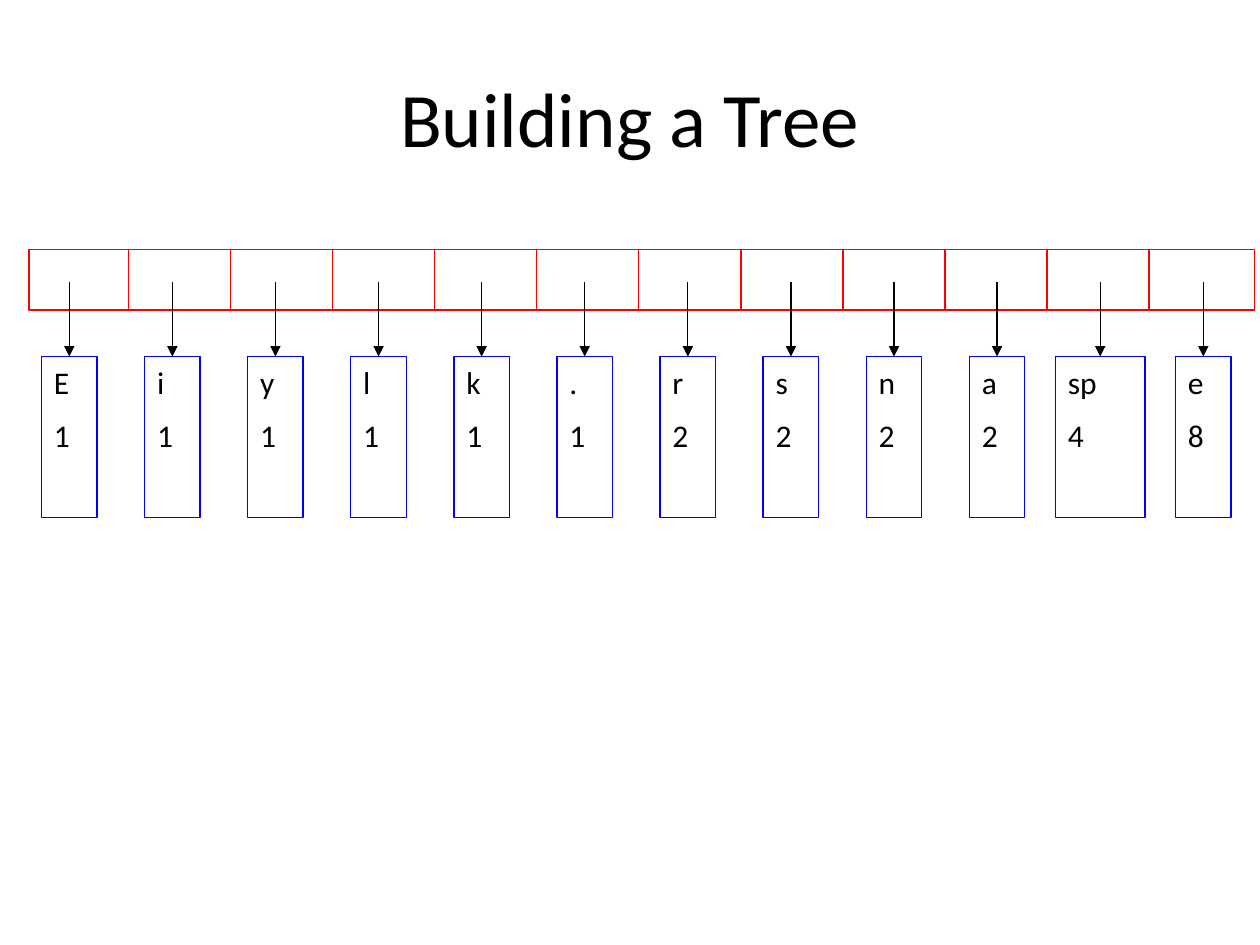
"""Build the slide that shows a queue of character frequencies for a tree."""
from lxml import etree
from pptx import Presentation
from pptx.dml.color import RGBColor
from pptx.enum.shapes import MSO_CONNECTOR, MSO_SHAPE
from pptx.enum.text import MSO_ANCHOR, PP_ALIGN
from pptx.oxml.ns import qn
from pptx.util import Inches, Pt

RECTANGLE = MSO_SHAPE.RECTANGLE
STRAIGHT = MSO_CONNECTOR.STRAIGHT
TOP, MIDDLE = MSO_ANCHOR.TOP, MSO_ANCHOR.MIDDLE
LEFT, CENTER = PP_ALIGN.LEFT, PP_ALIGN.CENTER

BLACK = RGBColor(0, 0, 0)
WHITE = RGBColor(255, 255, 255)
RED = RGBColor(255, 0, 0)
BLUE = RGBColor(0, 0, 255)
FONT = "Calibri"

FREQUENCIES = [
    ("E", 1), ("i", 1), ("y", 1), ("l", 1), ("k", 1), (".", 1),
    ("r", 2), ("s", 2), ("n", 2), ("a", 2), ("sp", 4), ("e", 8),
]
QUEUE_LEFT, QUEUE_TOP, QUEUE_WIDTH, QUEUE_HEIGHT = 0.23, 1.98, 9.73, 0.48
FIRST_DIVIDER, DIVIDER_STEP = 1.02, 0.81
FIRST_CENTER, LAST_CENTER = 0.55, 9.55
NODE_TOP, NODE_HEIGHT = 2.83, 1.28
NODE_WIDTH, WIDE_NODE_WIDTH = 0.44, 0.71
ARROW_TOP = 2.24


def add_text(paragraph, text, size, alignment):
    """Add one formatted run to a paragraph."""
    paragraph.alignment = alignment
    run = paragraph.add_run()
    run.text = text
    run.font.name = FONT
    run.font.size = Pt(size)
    run.font.color.rgb = BLACK


def add_title(slide, text):
    """Place and fill the title placeholder."""
    title = slide.shapes.title
    title.left, title.top = Inches(0.5), Inches(0.3)
    title.width, title.height = Inches(9), Inches(1.25)
    title.text_frame.vertical_anchor = MIDDLE
    add_text(title.text_frame.paragraphs[0], text, 44, CENTER)


def add_box(slide, left, top, width, height, color):
    """Add an outlined rectangle without a fill and return it."""
    box = slide.shapes.add_shape(
        RECTANGLE, Inches(left), Inches(top), Inches(width), Inches(height))
    box.shadow.inherit = False
    box.fill.background()
    box.line.color.rgb = color
    box.line.width = Pt(0.75)
    return box


def add_vertical_line(slide, x, top, bottom, color, arrow=False):
    """Add a vertical line, with an arrowhead at the bottom if wanted."""
    connector = slide.shapes.add_connector(
        STRAIGHT, Inches(x), Inches(top), Inches(x), Inches(bottom))
    connector.line.color.rgb = color
    connector.line.width = Pt(0.75)
    properties = connector.element.spPr
    if arrow:
        outline = properties.find(qn("a:ln"))
        etree.SubElement(outline, qn("a:tailEnd"), type="triangle")
    etree.SubElement(properties, qn("a:effectLst"))


def add_queue(slide):
    """Add the queue box and the dividers between its cells."""
    queue = add_box(
        slide, QUEUE_LEFT, QUEUE_TOP, QUEUE_WIDTH, QUEUE_HEIGHT, RED)
    queue.fill.solid()
    queue.fill.fore_color.rgb = WHITE
    for index in range(len(FREQUENCIES) - 1):
        x = FIRST_DIVIDER + index * DIVIDER_STEP
        add_vertical_line(slide, x, QUEUE_TOP, QUEUE_TOP + QUEUE_HEIGHT, RED)


def add_node(slide, center, character, count):
    """Add a node with its character and count, and the arrow to it."""
    add_vertical_line(slide, center, ARROW_TOP, NODE_TOP, BLACK, arrow=True)
    width = NODE_WIDTH if len(character) == 1 else WIDE_NODE_WIDTH
    node = add_box(
        slide, center - width / 2, NODE_TOP, width, NODE_HEIGHT, BLUE)
    frame = node.text_frame
    frame.word_wrap = True
    frame.vertical_anchor = TOP
    add_text(frame.paragraphs[0], character, 18, LEFT)
    count_paragraph = frame.add_paragraph()
    count_paragraph.space_before = Pt(9)
    add_text(count_paragraph, str(count), 18, LEFT)


def main():
    """Build and save the presentation."""
    presentation = Presentation()
    presentation.slide_width = Inches(10)
    presentation.slide_height = Inches(7.5)
    slide = presentation.slides.add_slide(presentation.slide_layouts[5])
    add_title(slide, "Building a Tree")
    add_queue(slide)
    step = (LAST_CENTER - FIRST_CENTER) / (len(FREQUENCIES) - 1)
    for index, (character, count) in enumerate(FREQUENCIES):
        add_node(slide, FIRST_CENTER + index * step, character, count)
    presentation.save("out.pptx")


if __name__ == "__main__":
    main()
